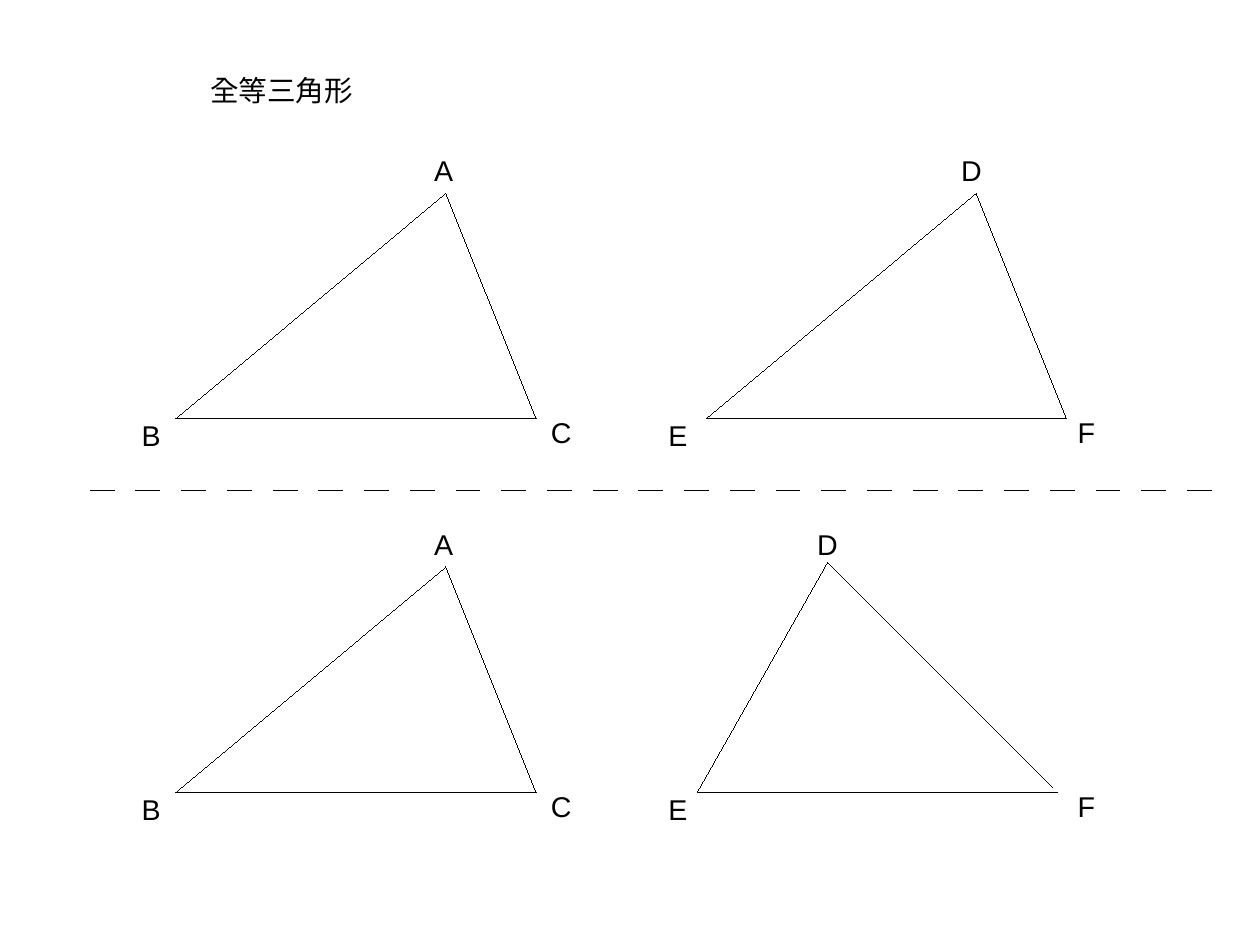
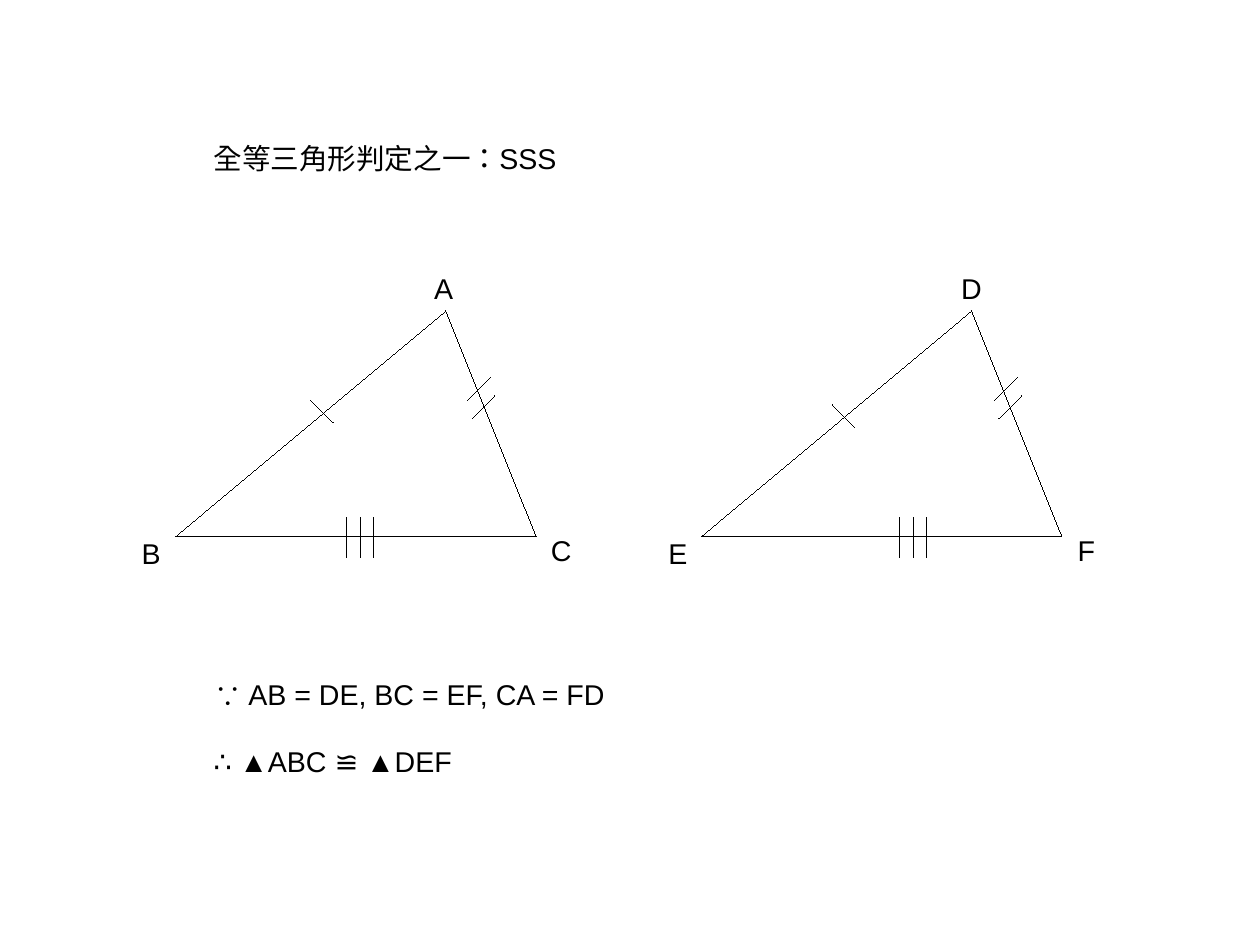
from lxml import etree
from pptx import Presentation
from pptx.dml.color import RGBColor
from pptx.enum.lang import MSO_LANGUAGE_ID
from pptx.enum.shapes import MSO_CONNECTOR
from pptx.enum.text import MSO_AUTO_SIZE
from pptx.oxml.ns import qn
from pptx.util import Inches, Pt

STRAIGHT = MSO_CONNECTOR.STRAIGHT
FIT_SHAPE = MSO_AUTO_SIZE.SHAPE_TO_FIT_TEXT
CHINESE = MSO_LANGUAGE_ID.TRADITIONAL_CHINESE
COLORS = {"ink": "000000"}
FONT = "Arial"
CM_PER_INCH = 2.54
ABC_LABELS = (("A", 3.7, 0.36), ("B", 1.14, 0.36), ("C", 4.72, 0.38))
DEF_LABELS = (("D", 8.31, 0.38), ("E", 5.75, 0.36), ("F", 9.33, 0.35))
LOWER_DEF_LABELS = (("D", 7.05, 0.38),) + DEF_LABELS[1:]
LABEL_RISES = (2.37, 0.05, 0.08)  # apex, left and right, above the base line
HEIGHT = 1.97
WIDTH = 3.15
APEX_SHIFT = 2.36


def add_text(slide, text, left, top, width, height=0.38, size=18,
             color="ink", gap=0):
    """Add one paragraph per line of text, with gap points between them."""
    box = slide.shapes.add_textbox(Inches(left), Inches(top),
                                   Inches(width), Inches(height))
    tf = box.text_frame
    tf.word_wrap = False
    tf.auto_size = FIT_SHAPE
    for i, line in enumerate(text.split("\n")):
        p = tf.add_paragraph() if i else tf.paragraphs[0]
        if i:
            p.space_before = Pt(gap)
        r = p.add_run()
        r.text = line
        r.font.name = FONT
        r.font.size = Pt(size)
        r.font.language_id = CHINESE
        r.font.color.rgb = RGBColor.from_string(COLORS[color])


def add_line(slide, start, end, dashed=False):
    """Add a hairline; its zero width must be written out in the XML."""
    line = slide.shapes.add_connector(STRAIGHT, *map(Inches, start + end))
    line.line.color.rgb = RGBColor.from_string(COLORS["ink"])
    sp_pr = line._element.spPr
    ln = sp_pr.find(qn("a:ln"))
    ln.set("w", "0")
    if dashed:
        dash = etree.SubElement(ln, qn("a:custDash"))
        etree.SubElement(dash, qn("a:ds"), d="1970000", sp="1800000")
    etree.SubElement(sp_pr, qn("a:effectLst"))


def add_lines(slide, *sides):
    for start, end in sides:
        add_line(slide, start, end)


def add_labels(slide, base, labels):
    for (letter, x, width), rise in zip(labels, LABEL_RISES):
        add_text(slide, letter, x, base - rise, width)


def add_triangle(slide, x, base, labels):
    apex = (x + APEX_SHIFT, base - HEIGHT)
    left, right = (x, base), (x + WIDTH, base)
    add_lines(slide, (apex, left), (apex, right), (left, right))
    add_labels(slide, base, labels)


def add_ticks(slide, x, y, dx, dy, count=1, step=(0, 0)):
    """Mark a side with equal strokes, each moved on by step."""
    for i in range(count):
        start = (x + i * step[0], y + i * step[1])
        add_line(slide, start, (start[0] + dx, start[1] + dy))


def build_comparison(slide):
    add_text(slide, "全等三角形", 1.74, 0.59, 1.45, 0.46)
    add_triangle(slide, 1.54, 3.66, ABC_LABELS)
    add_triangle(slide, 6.18, 3.66, DEF_LABELS)
    add_line(slide, (0.79, 4.29), (10.63, 4.29), dashed=True)
    add_triangle(slide, 1.54, 6.93, ABC_LABELS)
    # The lower right figure does not quite close at F.
    add_lines(slide, ((7.24, 4.92), (9.21, 6.89)),
              ((7.24, 4.92), (6.1, 6.93)), ((6.1, 6.93), (9.25, 6.93)))
    add_labels(slide, 6.93, LOWER_DEF_LABELS)


def build_sss(slide):
    add_text(slide, "全等三角形判定之一：SSS", 1.77, 1.18, 3.27, 0.46)
    add_triangle(slide, 1.54, 4.69, ABC_LABELS)
    add_triangle(slide, 6.14, 4.69, DEF_LABELS)
    for single, double_x, triple_x in (((2.72, 3.5), 4.09, 3.03),
                                       ((7.28, 3.54), 8.7, 7.87)):
        add_ticks(slide, *single, 0.2, 0.2)
        add_ticks(slide, double_x, 3.5, 0.2, -0.2, 2, (0.04, 0.16))
        add_ticks(slide, triple_x, 4.53, 0, 0.35, 3, (0.12, 0))
    add_text(slide, "∵ AB = DE, BC = EF, CA = FD\n∴ ▲ABC ≌ ▲DEF",
             1.77, 5.87, 3.62, 0.94, gap=21)


def main():
    prs = Presentation()
    prs.slide_width = Inches(28 / CM_PER_INCH)
    prs.slide_height = Inches(21 / CM_PER_INCH)
    for build in (build_comparison, build_sss):
        build(prs.slides.add_slide(prs.slide_layouts[6]))
    prs.save("out.pptx")


if __name__ == "__main__":
    main()
